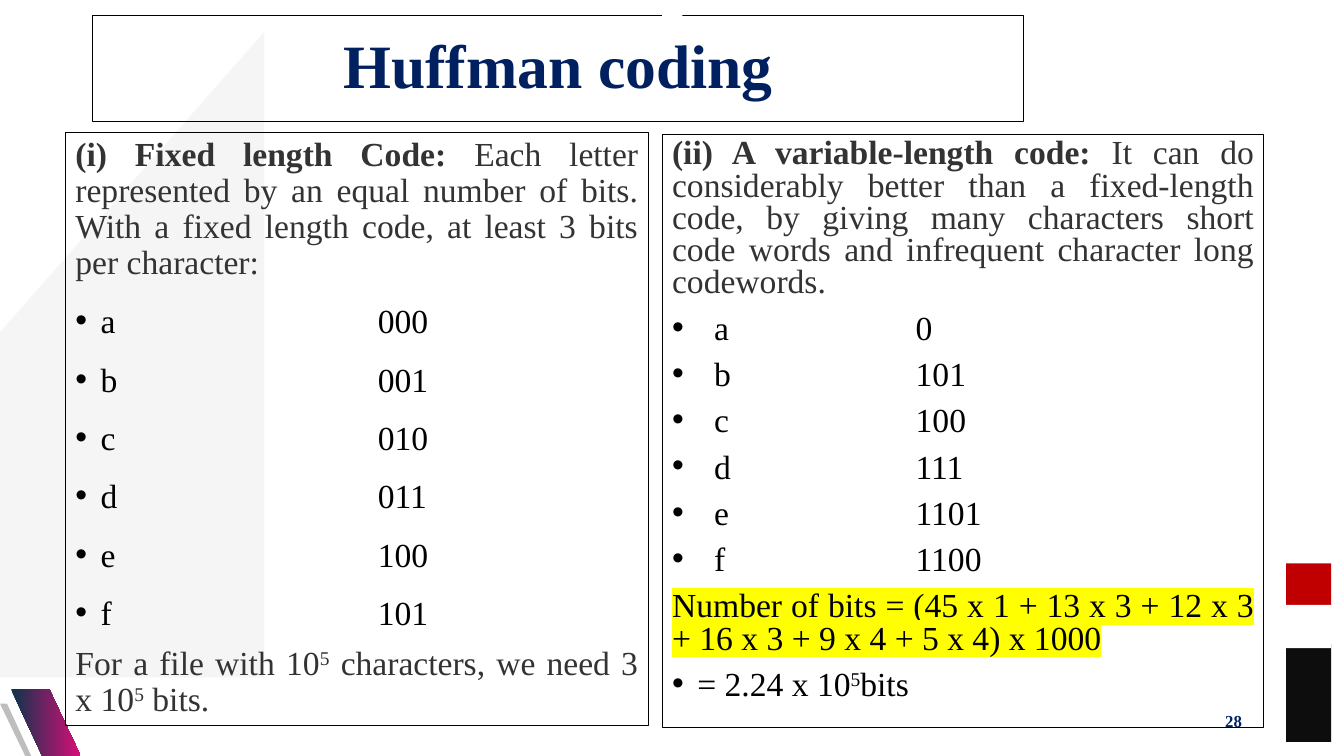
from dataclasses import dataclass
from lxml.etree import SubElement
from pptx import Presentation
from pptx.dml.color import RGBColor as Color
from pptx.enum.shapes import MSO_SHAPE as Preset
from pptx.enum.text import MSO_ANCHOR as Anchor, PP_ALIGN as Align
from pptx.oxml import parse_xml
from pptx.oxml.ns import nsdecls, qn
from pptx.util import Pt


@dataclass(frozen=True)
class Theme:
    """Colours, font and type sizes of the slide."""
    font: str = "Times New Roman"
    title_size: int = 44
    body_size: int = 24
    number_size: int = 12
    navy: str = "002060"
    grey: str = "333333"
    black: str = "000000"
    white: str = "FFFFFF"
    red: str = "C00000"
    near_black: str = "0D0D0D"
    triangle: str = "D9D9D9"
    silver: str = "BFBEBE"
    gradient: tuple = ("0C344C", "D80F79")
    marker: str = "FFFF00"


def add_span(para, text, *, theme, size=None, color=None, bold=False, raised=False, marked=False):
    """Add a formatted run to a paragraph."""
    span = para.add_run()
    span.text = text
    font = span.font
    font.name = theme.font
    font.size = Pt(size or theme.body_size)
    font.bold = bold
    font.color.rgb = Color.from_string(color or theme.black)
    props = span.font._element
    if raised:
        props.set("baseline", "30000")
    if marked:
        props.find(qn("a:solidFill")).addnext(parse_xml(
            f'<a:highlight {nsdecls("a")}><a:srgbClr val="{theme.marker}"/></a:highlight>'))


class SlidePainter:
    """Hold the theme and the current page and draw elements on it."""

    def __init__(self, page, theme):
        """Keep the page and the theme."""
        self.page = page
        self.theme = theme

    def finish(self, shape, fill=None, line=None):
        """Set shadow, fill and outline of a shape."""
        shape.shadow.inherit = False
        if fill:
            shape.fill.solid()
            shape.fill.fore_color.rgb = Color.from_string(fill)
        else:
            shape.fill.background()
        if line:
            shape.line.color.rgb = Color.from_string(line)
            shape.line.width = Pt(0.75)
        else:
            shape.line.fill.background()
        return shape

    def shape(self, bounds, fill=None, line=None, preset=Preset.RECTANGLE):
        """Draw a preset shape."""
        shape = self.page.shapes.add_shape(preset, *map(Pt, bounds))
        return self.finish(shape, fill, line)

    def triangle(self, bounds, opacity):
        """Draw the mirrored translucent right triangle."""
        shape = self.shape(bounds, self.theme.triangle, preset=Preset.RIGHT_TRIANGLE)
        shape._element.spPr.find(qn("a:xfrm")).set("flipH", "1")
        tint = shape._element.spPr.find(qn("a:solidFill"))[0]
        SubElement(tint, qn("a:alpha"), val=str(opacity * 1000))

    def stripe(self, points, fill=None, gradient=None):
        """Draw a slanted stripe through the given points."""
        start, *rest = [tuple(map(Pt, point)) for point in points]
        builder = self.page.shapes.build_freeform(*start)
        builder.add_line_segments(rest, close=True)
        shape = self.finish(builder.convert_to_shape(), fill)
        if gradient:
            shape.fill.gradient()
            shape.fill.gradient_angle = 0
            for stop, color in zip(shape.fill.gradient_stops, gradient):
                stop.color.rgb = Color.from_string(color)

    def box(self, bounds, anchor=Anchor.TOP, line=None):
        """Add a wrapping text box and return its text frame."""
        box = self.page.shapes.add_textbox(*map(Pt, bounds))
        if line:
            self.finish(box, line=line)
        frame = box.text_frame
        frame.word_wrap = True
        frame.vertical_anchor = anchor
        return frame

    def para(self, frame, spans, *, align=Align.JUSTIFY, spacing=1.0, before=0, indent=0, tab=0):
        """Add a paragraph of (text, format) spans, bulleted when indented."""
        first = frame.paragraphs[0]
        para = frame.add_paragraph() if first.runs else first
        para.alignment = align
        para.line_spacing = spacing
        para.space_before = Pt(before)
        props = para._p.get_or_add_pPr()
        if indent:
            props.set("marL", str(Pt(indent)))
            props.set("indent", str(-Pt(indent)))
            SubElement(props, qn("a:buFont"), typeface="Arial")
            SubElement(props, qn("a:buChar"), char="•")
        if tab:
            stops = SubElement(props, qn("a:tabLst"))
            SubElement(stops, qn("a:tab"), pos=str(Pt(tab)), algn="l")
        for text, style in spans:
            add_span(para, text, theme=self.theme, **style)

    def codes(self, frame, words, **layout):
        """List the letters from a onwards with their code words."""
        for letter, word in zip("abcdef", words):
            self.para(frame, [(f"{letter}\t{word}", {})], before=10, **layout)


def draw_backdrop(painter):
    """Draw the decoration behind the text."""
    theme = painter.theme
    painter.triangle((-216.7, 23, 405.4, 460.8), 26)
    for top, height, fill in ((402.5, 29.5, theme.red), (460, 70, theme.near_black),
                              (432, 31, theme.white)):
        painter.shape((918.7, top, 32.2, height), fill)
    painter.stripe([(57.6, 540), (35.3, 492.5), (7.9, 492.5), (30.2, 540)],
                   gradient=theme.gradient)
    painter.stripe([(22.3, 540), (5, 502.6), (0, 502.6), (18, 540)], theme.silver)


def draw_content(painter):
    """Write the title, both code panels and the page number."""
    theme = painter.theme
    grey = {"color": theme.grey}
    heading = {"color": theme.grey, "bold": True}
    navy = {"color": theme.navy, "bold": True}

    title = painter.box((66.2, 10.8, 665.3, 76.3), Anchor.MIDDLE, theme.black)
    painter.para(title, [("Huffman coding", {"size": theme.title_size, **navy})],
                 align=Align.CENTER, spacing=0.9)

    fixed = painter.box((46.8, 94.3, 416.2, 424.1), line=theme.black)
    painter.para(fixed, [
        ("(i) Fixed length Code:", heading),
        (" Each letter represented by an equal number of bits. With a fixed length code, "
         "at least 3 bits per character:", grey)], spacing=0.9, before=10)
    painter.codes(fixed, ("000", "001", "010", "011", "100", "101"),
                  spacing=1.1, indent=18, tab=216)
    painter.para(fixed, [
        ("For a file with 10", grey), ("5", {"raised": True, **grey}),
        (" characters, we need 3 x 10", grey), ("5", {"raised": True, **grey}),
        (" bits.", grey)], spacing=0.9, before=10)

    number = painter.box((678.2, 500.4, 216, 28.8), Anchor.MIDDLE)
    painter.para(number, [("28", {"size": theme.number_size, **navy})], align=Align.RIGHT)
    painter.shape((473, 3.6, 14.4, 28.8), theme.white)

    variable = painter.box((473, 95.8, 429.8, 424.1), line=theme.black)
    painter.para(variable, [
        ("(ii) A variable-length code:", heading),
        (" It can do considerably better than a fixed-length code, by giving many characters "
         "short code words and infrequent character long codewords.", grey)],
        spacing=0.8, before=10)
    painter.codes(variable, ("0", "101", "100", "111", "1101", "1100"),
                  spacing=0.8, indent=30, tab=174)
    painter.para(variable, [
        ("Number of bits = (45 x 1 + 13 x 3 + 12 x 3 + 16 x 3 + 9 x 4 + 5 x 4) x 1000",
         {"marked": True})], spacing=0.8, before=10)
    painter.para(variable, [("= 2.24 x 10", {}), ("5", {"raised": True}), ("bits", {})],
                 spacing=0.8, before=10, indent=18)


def main():
    """Build the deck and save it."""
    deck = Presentation()
    deck.slide_width, deck.slide_height = Pt(960), Pt(540)
    page = deck.slides.add_slide(deck.slide_layouts[6])
    painter = SlidePainter(page, Theme())
    draw_backdrop(painter)
    draw_content(painter)
    deck.save("out.pptx")


if __name__ == "__main__":
    main()
